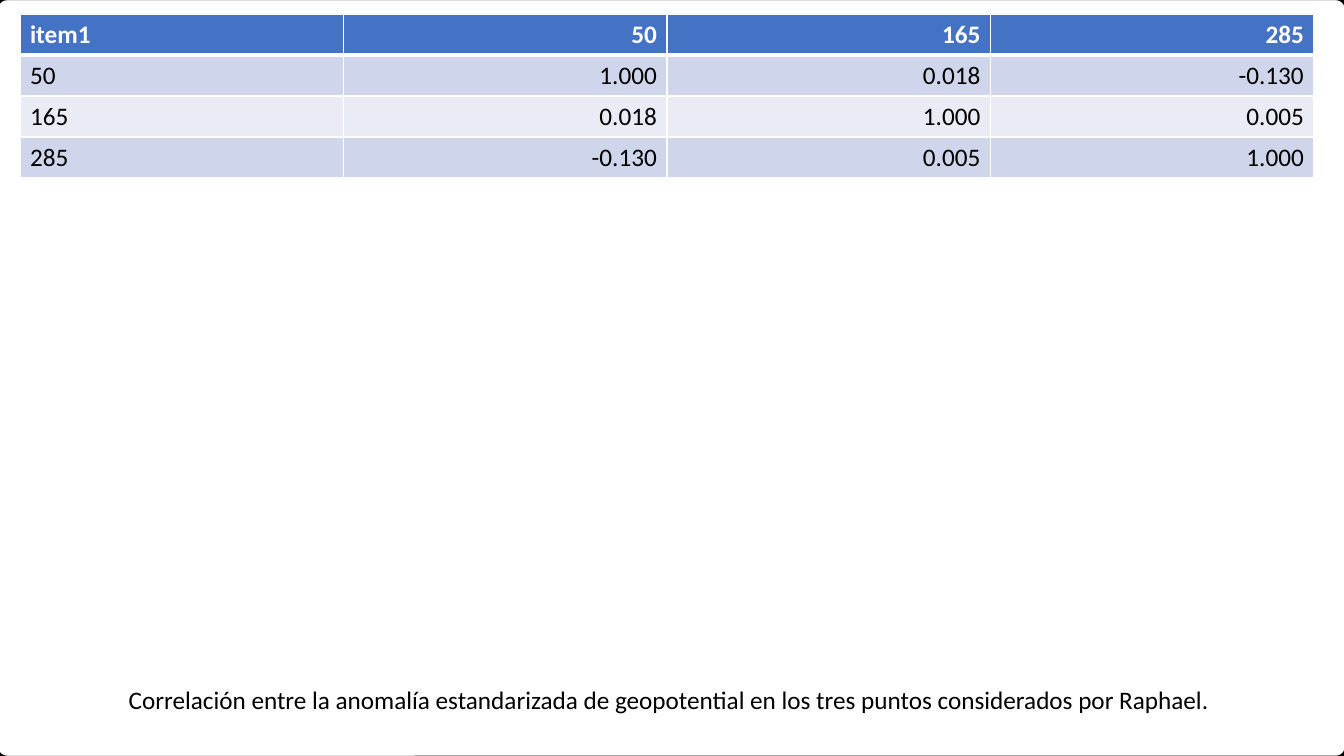
import pptx
import pptx.dml.color
import pptx.enum.shapes
import pptx.enum.text
import pptx.oxml
import pptx.oxml.ns
import pptx.util

SLIDE_SIZE = (1344, 756)
FRAME_BOX = (-6, -4, 1355, 764)
TABLE_BOX = (20, 14, 1294, 164)
CAPTION_BOX = (20, 679, 1298, 56)
CORRELATIONS = [
    ("item1", "50", "165", "285"),
    ("50", "1.000", "0.018", "-0.130"),
    ("165", "0.018", "1.000", "0.005"),
    ("285", "-0.130", "0.005", "1.000"),
]
ROW_FILLS = ["4472C4", "CFD5EA", "E9EBF5", "CFD5EA"]
CAPTION = ("Correlación entre la anomalía estandarizada de geopotential "
           "en los tres puntos considerados por Raphael.")
WHITE, BLACK = "FFFFFF", "000000"
ALIGN = pptx.enum.text.PP_ALIGN


def px(length):
    return pptx.util.Emu(round(length * 914400 / 100.8))


def color(value):
    return pptx.dml.color.RGBColor.from_string(value)


def fill_solid(fill, value):
    fill.solid()
    fill.fore_color.rgb = color(value)


def write(text_frame, text, value, alignment, bold=False):
    paragraph = text_frame.paragraphs[0]
    paragraph.alignment = alignment
    run = paragraph.add_run()
    run.text = text
    run.font.name = "Calibri"
    run.font.size = pptx.util.Pt(18)
    run.font.bold = bold
    run.font.color.rgb = color(value)


def add_border(cell, side, points):
    properties = cell._tc.get_or_add_tcPr()
    properties.append(pptx.oxml.parse_xml(
        f'<a:{side} {pptx.oxml.ns.nsdecls("a")} w="{pptx.util.Pt(points)}">'
        f'<a:solidFill><a:srgbClr val="{WHITE}"/></a:solidFill></a:{side}>'))


def add_frame(slide):
    frame = slide.shapes.add_shape(
        pptx.enum.shapes.MSO_SHAPE.ROUNDED_RECTANGLE, *map(px, FRAME_BOX))
    frame.adjustments[0] = 0.017
    frame.shadow.inherit = False
    frame.fill.background()
    frame.line.color.rgb = color(BLACK)
    frame.line.width = pptx.util.Pt(6)


def add_correlation_table(slide):
    row_count, column_count = len(CORRELATIONS), len(CORRELATIONS[0])
    table = slide.shapes.add_table(
        row_count, column_count, *map(px, TABLE_BOX)).table
    for row, values in enumerate(CORRELATIONS):
        header = row == 0
        for column, value in enumerate(values):
            cell = table.cell(row, column)
            for side in ("lnL", "lnR", "lnT", "lnB"):
                heavy = (row, side) in ((0, "lnB"), (1, "lnT"))
                add_border(cell, side, 3 if heavy else 1)
            fill_solid(cell.fill, ROW_FILLS[row])
            write(cell.text_frame, value, WHITE if header else BLACK,
                  ALIGN.RIGHT if column else ALIGN.LEFT, header)


def add_caption(slide):
    caption = slide.shapes.add_textbox(*map(px, CAPTION_BOX))
    caption.text_frame.word_wrap = True
    write(caption.text_frame, CAPTION, BLACK, ALIGN.CENTER)


def main():
    presentation = pptx.Presentation()
    presentation.slide_width, presentation.slide_height = map(px, SLIDE_SIZE)
    slide = presentation.slides.add_slide(presentation.slide_layouts[6])
    fill_solid(slide.background.fill, WHITE)
    add_frame(slide)
    add_correlation_table(slide)
    add_caption(slide)
    presentation.save("out.pptx")


if __name__ == "__main__":
    main()
